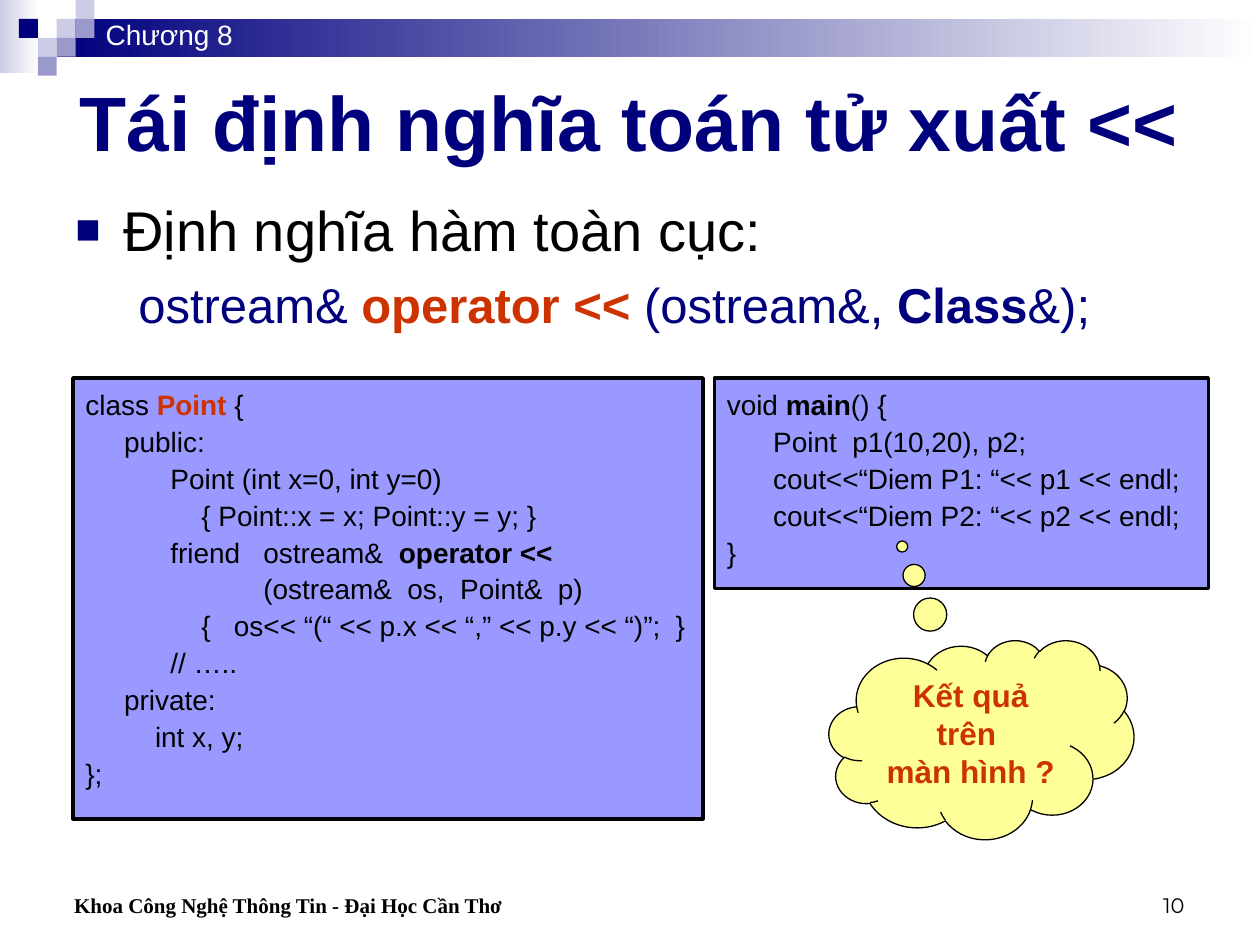
from dataclasses import dataclass

from lxml import etree
from pptx import Presentation
from pptx.dml.color import RGBColor
from pptx.enum.shapes import MSO_SHAPE
from pptx.enum.text import MSO_ANCHOR, MSO_AUTO_SIZE, PP_ALIGN
from pptx.oxml.ns import qn
from pptx.util import Inches, Pt

RECT, CLOUD = MSO_SHAPE.RECTANGLE, MSO_SHAPE.CLOUD_CALLOUT
TOP, MIDDLE, BOTTOM = MSO_ANCHOR.TOP, MSO_ANCHOR.MIDDLE, MSO_ANCHOR.BOTTOM
LEFT, CENTER, RIGHT = PP_ALIGN.LEFT, PP_ALIGN.CENTER, PP_ALIGN.RIGHT


@dataclass(frozen=True)
class Theme:
    navy: str = "00007D"
    violet: str = "9999CC"
    lavender: str = "CCCCE6"
    code_fill: str = "9999FF"
    cloud_fill: str = "FFFF99"
    accent: str = "CC3300"
    black: str = "000000"
    white: str = "FFFFFF"
    font: str = "Arial"
    footer_font: str = "Times New Roman"
    number_font: str = "Montserrat"
    title: int = 44
    body: int = 32
    signature: int = 28
    cloud: int = 18
    code: int = 16
    footer: int = 12


T = Theme()


def rgb(value):
    return RGBColor.from_string(value)


def add_text(p, text, size=T.code, color=T.black, bold=False, font=T.font):
    r = p.add_run()
    r.text = text
    r.font.size, r.font.bold, r.font.name = Pt(size), bold, font
    r.font.color.rgb = rgb(color)


def fill_text(shape, lines, anchor=TOP, align=LEFT, spacing=None, **style):
    """Write lines; each is a string or a list of (text, format changes)."""
    tf = shape.text_frame
    tf.word_wrap, tf.auto_size = True, MSO_AUTO_SIZE.NONE
    tf.vertical_anchor = anchor
    for i, line in enumerate(lines):
        p = tf.add_paragraph() if i else tf.paragraphs[0]
        p.alignment, p.line_spacing = align, spacing
        for text, change in [(line, {})] if isinstance(line, str) else line:
            add_text(p, text, **{**style, **change})
    return tf


def add_box(s, kind, box, fill, line=None, width=0):
    sp = s.shapes.add_shape(kind, *map(Inches, box))
    sp.shadow.inherit = False
    if isinstance(fill, tuple):
        sp.fill.gradient()
        sp.fill.gradient_angle = 0
        for stop, color in zip(sp.fill.gradient_stops, fill):
            stop.color.rgb = rgb(color)
    else:
        sp.fill.solid()
        sp.fill.fore_color.rgb = rgb(fill)
    if line:
        sp.line.color.rgb, sp.line.width = rgb(line), Pt(width)
    else:
        sp.line.fill.background()
    return sp


def add_label(s, box, lines, **style):
    return fill_text(s.shapes.add_textbox(*map(Inches, box)), lines, **style)


def indent(p, margin, first):
    pPr = p._p.get_or_add_pPr()
    pPr.set("marL", str(Inches(margin)))
    pPr.set("indent", str(Inches(first)))
    return pPr


def add_bullet(pPr, char, color, percent):
    clr = etree.SubElement(pPr, qn("a:buClr"))
    etree.SubElement(clr, qn("a:srgbClr")).set("val", color)
    etree.SubElement(pPr, qn("a:buSzPct")).set("val", str(percent * 1000))
    etree.SubElement(pPr, qn("a:buFont")).set("typeface", T.font)
    etree.SubElement(pPr, qn("a:buChar")).set("char", char)


def header(s, box, chapter):
    left, top, width, height = box
    tile = 0.15
    add_box(s, RECT, (left, top, 0.31, 0.58), (T.lavender, T.white))
    add_box(s, RECT, (left + 3 * tile, top + tile, width - 3 * tile, height - tile),
            (T.navy, T.white))
    # Mosaic tiles as column, row, colour
    tiles = [(3, 1, T.lavender), (4, 0, T.lavender), (4, 1, T.violet),
             (2, 2, T.lavender), (1, 1, T.navy), (3, 2, T.violet),
             (2, 3, T.violet)]
    for col, row, color in tiles:
        add_box(s, RECT, (left + col * tile, top + row * tile, tile, tile), color)
    add_label(s, (left + 0.74, top + 0.09, 1.75, 0.37), [chapter], color=T.white)


def title(s, box, text):
    sp = s.shapes.title
    sp.left, sp.top, sp.width, sp.height = map(Inches, box)
    fill_text(sp, [text], anchor=MIDDLE, align=CENTER,
              size=T.title, color=T.navy, bold=True)


def body(s, box, heading, signature):
    tf = add_label(s, box, [[(heading, {"size": T.body, "color": T.black})], signature],
                   size=T.signature, color=T.navy)
    first, second = tf.paragraphs
    add_bullet(indent(first, 0.38, -0.38), "■", T.navy, 75)
    indent(second, 0.81, -0.31)
    second.space_before = Pt(7)


def code_panel(s, box, lines):
    sp = add_box(s, RECT, box, T.code_fill, T.black, 2)
    fill_text(sp, lines, spacing=1.1)


def thought(s, box, lines):
    sp = add_box(s, CLOUD, box, T.cloud_fill, T.black, 0.75)
    sp.adjustments[0], sp.adjustments[1] = -0.26, -0.97
    fill_text(sp, lines, align=CENTER, size=T.cloud, color=T.accent, bold=True)


def footer(s, box, text, number):
    left, top, width, height = box
    tf = add_label(s, (left, top, 4.83, height), [text], anchor=BOTTOM,
                   size=T.footer, bold=True, font=T.footer_font)
    indent(tf.paragraphs[0], 0.24, 0)
    add_label(s, (left + width - 2.33, top, 2.33, height), [number], anchor=BOTTOM,
              align=RIGHT, size=T.footer, font=T.number_font)


BOLD = {"bold": True}
HOT = {"bold": True, "color": T.accent}

SIGNATURE = [("ostream& ", {}), ("operator <<", HOT), (" (ostream&, ", {}),
             ("Class", BOLD), ("&);", {})]
POINT_CODE = [
    [("class ", {}), ("Point", HOT), (" {", {})],
    "     public:",
    "           Point (int x=0, int y=0)",
    "               { Point::x = x; Point::y = y; }",
    [("           friend   ostream&  ", {}), ("operator <<", BOLD)],
    "                       (ostream&  os,  Point&  p)",
    "               {   os<< “(“ << p.x << “,” << p.y << “)”;  }",
    "           // …..",
    "     private:",
    "         int x, y;",
    "};",
]
MAIN_CODE = [
    [("void ", {}), ("main", BOLD), ("() {", {})],
    "      Point  p1(10,20), p2;",
    "      cout<<“Diem P1: “<< p1 << endl;",
    "      cout<<“Diem P2: “<< p2 << endl;",
    "}",
]


def main():
    prs = Presentation()
    prs.slide_width, prs.slide_height = Inches(10), Inches(7.5)
    s = prs.slides.add_slide(prs.slide_layouts[5])
    header(s, (0, 0, 10, 0.45), "Chương 8")
    title(s, (0.5, 0.5, 9, 0.92), "Tái định nghĩa toán tử xuất <<")
    body(s, (0.5, 1.5, 9, 1.33), "Định nghĩa hàm toàn cục:", SIGNATURE)
    code_panel(s, (0.58, 3, 5, 3.5), POINT_CODE)
    code_panel(s, (5.67, 3, 3.92, 1.67), MAIN_CODE)
    thought(s, (6.58, 5.08, 2.42, 1.58), ["Kết quả trên ", "màn hình ?"])
    footer(s, (0.25, 6.83, 9.25, 0.5),
           "Khoa Công Nghệ Thông Tin - Đại Học Cần Thơ", "10")
    prs.save("out.pptx")


if __name__ == "__main__":
    main()
